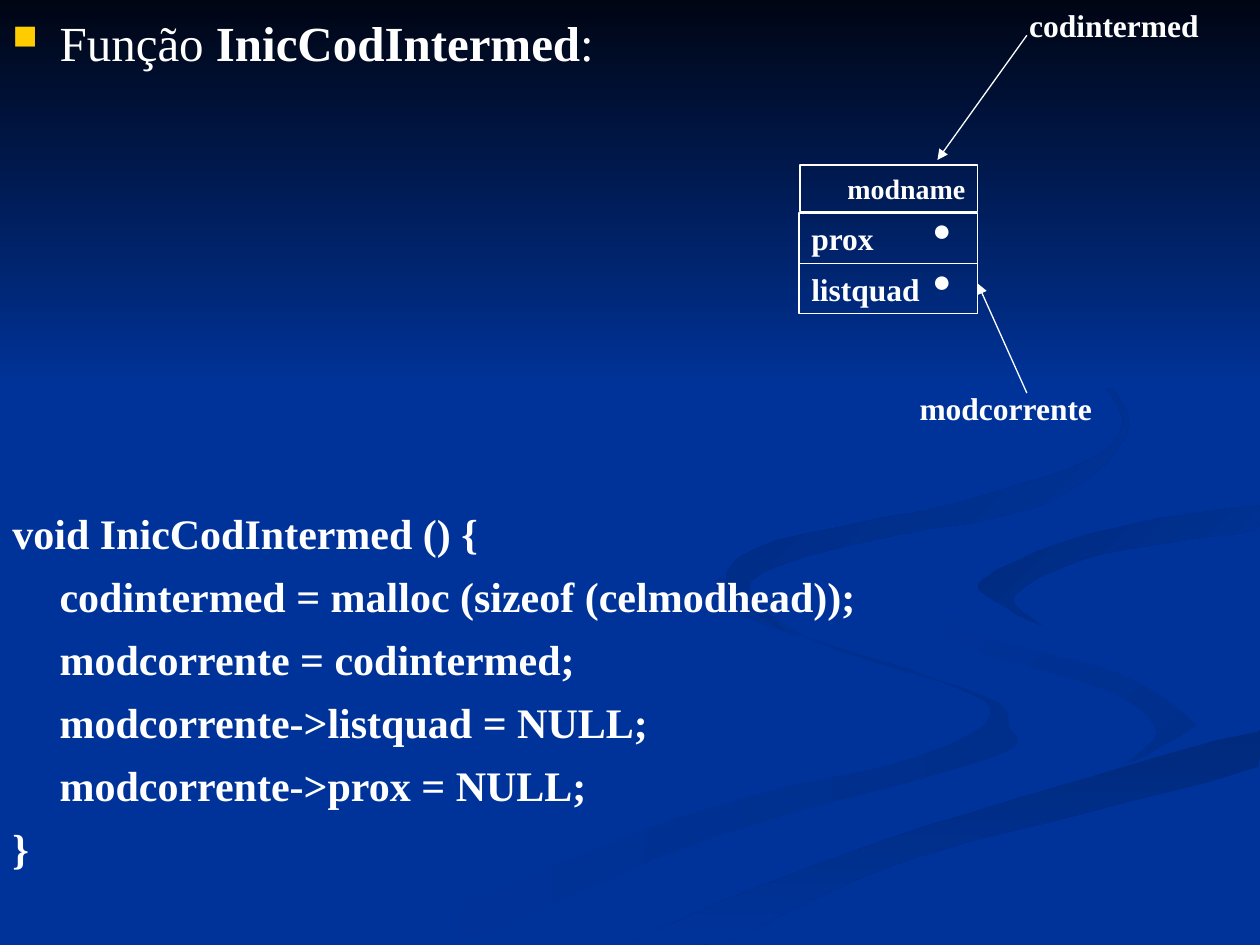
from dataclasses import dataclass

from lxml import etree
from pptx import Presentation
from pptx.dml.color import RGBColor
from pptx.enum.shapes import MSO_CONNECTOR, MSO_SHAPE
from pptx.enum.text import MSO_ANCHOR, PP_ALIGN
from pptx.oxml.ns import qn
from pptx.util import Pt

STRAIGHT = MSO_CONNECTOR.STRAIGHT
RECTANGLE = MSO_SHAPE.RECTANGLE
TOP, MIDDLE = MSO_ANCHOR.TOP, MSO_ANCHOR.MIDDLE
LEFT, CENTER, RIGHT = PP_ALIGN.LEFT, PP_ALIGN.CENTER, PP_ALIGN.RIGHT


@dataclass(frozen=True)
class Theme:
    background: str = "003399"
    shade: str = "002E8B"
    deep: str = "002A7D"
    night: str = "000514"
    text: str = "FFFFFF"
    bullet: str = "FFCC00"
    serif: str = "Times New Roman"
    sans: str = "Arial"
    title: int = 28
    code: int = 24
    label: int = 18
    small: int = 16
    line: float = 0.75


THEME = Theme()
WIDTH, HEIGHT = 720, 540
INDENT = 27
CURVE_STEPS = 5

RIBBONS = [
    ((THEME.background, THEME.shade), 0, [
        (562, 398), (462, 365), (414, 330), (422, 351), (534, 388), (566, 408), (523, 433),
        (388, 467), (216, 539), (260, 539), (406, 479), (566, 433), (576, 415)]),
    ((THEME.background, THEME.shade), 45, [
        (679, 410), (639, 385), (557, 362), (521, 334), (552, 369), (634, 395), (661, 418),
        (644, 436), (678, 418)]),
    ((THEME.deep, THEME.background), 90, [
        (362, 539), (411, 539), (520, 491), (719, 438), (719, 418), (550, 466), (454, 499)]),
    ((THEME.deep, THEME.background), 45, [
        (562, 331), (570, 344), (595, 357), (580, 340), (632, 316), (719, 302), (719, 289),
        (623, 305)]),
    ((THEME.deep, THEME.background), 45, [
        (492, 310), (594, 289), (644, 248), (622, 210), (549, 168), (626, 215), (635, 255),
        (549, 287), (443, 309), (415, 333), (448, 360), (429, 332)]),
]

CODE = [
    (0, "void InicCodIntermed () {"),
    (INDENT, "codintermed = malloc (sizeof (celmodhead));"),
    (INDENT, "modcorrente = codintermed;"),
    (INDENT, "modcorrente->listquad = NULL;"),
    (INDENT, "modcorrente->prox = NULL;"),
    (0, "}"),
]


def color(value):
    return RGBColor.from_string(value)


def paint(shape, colors, angle):
    shape.shadow.inherit = False
    shape.line.fill.background()
    shape.fill.gradient()
    shape.fill.gradient_angle = -angle % 360
    for stop, value, position in zip(shape.fill.gradient_stops, colors, (0, 1)):
        stop.color.rgb = color(value)
        stop.position = position


def blend(a, b, c, d, t):
    return b + t / 2 * (c - a + t * (2 * a - 5 * b + 4 * c - d + t * (3 * (b - c) + d - a)))


def smooth(points):
    count = len(points)
    curve = []
    for index in range(count):
        near = [points[(index + shift) % count] for shift in (-1, 0, 1, 2)]
        for step in range(CURVE_STEPS):
            x, y = (blend(*axis, step / CURVE_STEPS) for axis in zip(*near))
            curve.append((min(x, WIDTH), min(y, HEIGHT)))
    return curve


def add_ribbon(slide, colors, angle, points):
    curve = smooth(points)
    builder = slide.shapes.build_freeform(*curve[0], scale=Pt(1))
    builder.add_line_segments(curve[1:], close=True)
    paint(builder.convert_to_shape(), colors, angle)


def set_font(paragraph, size, bold=True, name=THEME.serif):
    font = paragraph.font
    font.size, font.bold, font.name = Pt(size), bold, name
    font.color.rgb = color(THEME.text)


def write(shape, text, size, align=LEFT, anchor=TOP, name=THEME.serif):
    frame = shape.text_frame
    frame.word_wrap = True
    frame.vertical_anchor = anchor
    paragraph = frame.paragraphs[0]
    paragraph.text = text
    paragraph.alignment = align
    set_font(paragraph, size, name=name)


def add_box(slide, left, top, width, height):
    return slide.shapes.add_textbox(Pt(left), Pt(top), Pt(width), Pt(height))


def add_field(slide, left, top, width, height, text, size, align=LEFT):
    shape = slide.shapes.add_shape(RECTANGLE, Pt(left), Pt(top), Pt(width), Pt(height))
    shape.shadow.inherit = False
    shape.fill.background()
    shape.line.color.rgb = color(THEME.text)
    shape.line.width = Pt(THEME.line)
    write(shape, text, size, align, MIDDLE)


def add_arrow(slide, *ends):
    connector = slide.shapes.add_connector(STRAIGHT, *map(Pt, ends))
    connector.line.color.rgb = color(THEME.text)
    connector.line.width = Pt(THEME.line)
    outline = connector._element.spPr.find(qn("a:ln"))
    etree.SubElement(outline, qn("a:tailEnd"), type="triangle")
    etree.SubElement(connector._element.spPr, qn("a:effectLst"))


def add_heading(slide):
    frame = add_box(slide, 0, 3.5, 450, 40).text_frame
    frame.word_wrap = True
    paragraph = frame.paragraphs[0]
    properties = paragraph._p.get_or_add_pPr()
    properties.set("marL", str(Pt(INDENT)))
    properties.set("indent", str(-Pt(INDENT)))
    bullet_color = etree.SubElement(properties, qn("a:buClr"))
    etree.SubElement(bullet_color, qn("a:srgbClr"), val=THEME.bullet)
    etree.SubElement(properties, qn("a:buSzPct"), val="70000")
    etree.SubElement(properties, qn("a:buChar"), char="■")
    set_font(paragraph, THEME.title, bold=False)
    for text, bold in (("Função ", False), ("InicCodIntermed", True), (":", False)):
        run = paragraph.add_run()
        run.text = text
        run.font.bold = bold


def add_code(slide):
    frame = add_box(slide, 0, 286.4, WIDTH, 210).text_frame
    frame.word_wrap = True
    for index, (margin, text) in enumerate(CODE):
        paragraph = frame.add_paragraph() if index else frame.paragraphs[0]
        paragraph.text = text
        paragraph._p.get_or_add_pPr().set("marL", str(Pt(margin)))
        paragraph.space_before = Pt(7.2 if index else 0)
        set_font(paragraph, THEME.code)


def main():
    presentation = Presentation()
    presentation.slide_width, presentation.slide_height = Pt(WIDTH), Pt(HEIGHT)
    slide = presentation.slides.add_slide(presentation.slide_layouts[6])
    slide.background.fill.solid()
    slide.background.fill.fore_color.rgb = color(THEME.background)
    for ribbon in RIBBONS:
        add_ribbon(slide, *ribbon)
    sky = slide.shapes.add_shape(RECTANGLE, 0, 0, Pt(WIDTH), Pt(222))
    paint(sky, (THEME.night, THEME.background), 90)

    add_heading(slide)
    add_code(slide)
    for left, top, text in ((581, 0, "codintermed"), (518.4, 219, "modcorrente")):
        write(add_box(slide, left, top, 119, 50), text, THEME.label)
    add_field(slide, 457.2, 94.3, 101.5, 26.6, "modname", THEME.small, RIGHT)
    for row, text in enumerate(("prox", "listquad")):
        top = 121.7 + 28.8 * row
        add_field(slide, 456.5, top, 102.2, 28.8, text, THEME.label)
        dot = add_box(slide, 518.4, top - 5, 39.6, 28.8)
        write(dot, "●", THEME.label, CENTER, name=THEME.sans)
    add_arrow(slide, 586.8, 20.2, 535.7, 91.4)
    add_arrow(slide, 586.8, 224.6, 558.7, 162)
    presentation.save("out.pptx")


if __name__ == "__main__":
    main()
